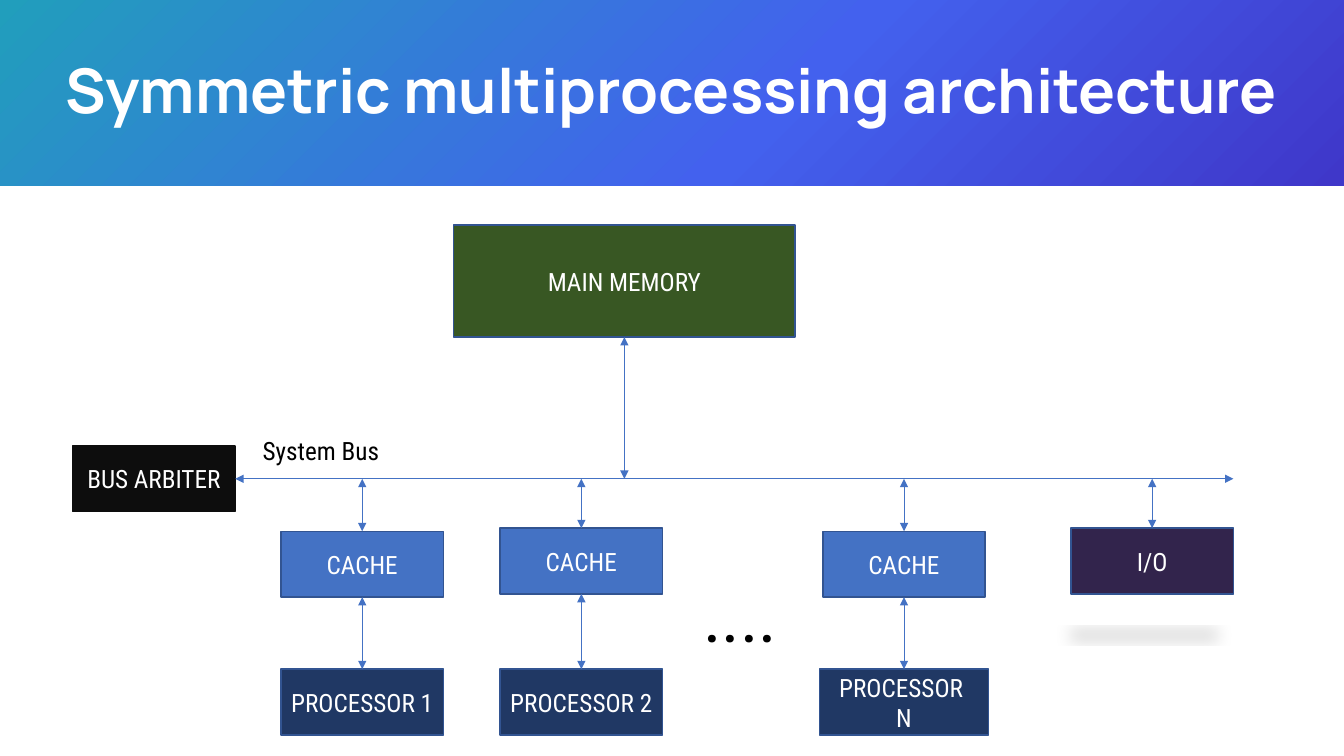
from lxml import etree
from pptx import Presentation
from pptx.dml.color import RGBColor
from pptx.enum.shapes import MSO_CONNECTOR as Connector, MSO_SHAPE as Preset
from pptx.enum.text import MSO_ANCHOR as Anchor, PP_ALIGN as Align
from pptx.oxml import parse_xml
from pptx.oxml.ns import nsdecls, qn
from pptx.util import Pt

WHITE = RGBColor(0xFF, 0xFF, 0xFF)
BLACK = RGBColor(0, 0, 0)
NEAR_BLACK = RGBColor(0x0D, 0x0D, 0x0D)
GREEN = RGBColor(0x38, 0x57, 0x23)
BLUE = RGBColor(0x44, 0x72, 0xC4)
EDGE = RGBColor(0x32, 0x54, 0x91)
NAVY = RGBColor(0x20, 0x38, 0x64)
PURPLE = RGBColor(0x32, 0x24, 0x4C)
BAND_STOPS = [(0, RGBColor(0x21, 0x9E, 0xBC)),
              (0.58, RGBColor(0x43, 0x61, 0xEE)),
              (1, RGBColor(0x3F, 0x37, 0xC9))]
BODY_FONT = "Roboto Condensed"

TITLE = "Symmetric multiprocessing architecture"
# centre, cache top, processor lines, processor width
PROCESSORS = [
    (258.75, 379.5, ["PROCESSOR 1"], 116),
    (415.25, 377.25, ["PROCESSOR 2"], 116),
    (645.75, 379.5, ["PROCESSOR ", "N"], 121),
]
LABELS = [("....", 495.25, 405.5, 81.5, 67.5, 50),
          ("System Bus", 180.5, 307.5, 156, 29, 18)]
SLIDE_WIDTH, SLIDE_HEIGHT, BAND_HEIGHT = 960, 540, 132.5
BOX_WIDTH, BOX_HEIGHT = 116, 47
BUS_Y, BUS_RIGHT = 342, 881
ARBITER_LEFT, MEMORY_CENTRE, IO_CENTRE = 52, 446, 823
MEMORY_TOP, IO_TOP, PROCESSOR_TOP = 160.75, 377.25, 478
TOP, BOTTOM, RIGHT = 0, 2, 3

presentation = Presentation()
presentation.slide_width = Pt(SLIDE_WIDTH)
presentation.slide_height = Pt(SLIDE_HEIGHT)
slide = presentation.slides.add_slide(presentation.slide_layouts[5])
shapes = slide.shapes


def write(shape, *lines, size=18, font=BODY_FONT, color=WHITE, bold=False,
          align=Align.CENTER, anchor=Anchor.MIDDLE, spacing=None):
    frame = shape.text_frame
    frame.word_wrap = True
    frame.vertical_anchor = anchor
    frame.text = "\n".join(lines)
    for paragraph in frame.paragraphs:
        paragraph.alignment = align
        paragraph.line_spacing = spacing
        style = paragraph.runs[0].font
        style.size, style.name, style.bold = Pt(size), font, bold
        style.color.rgb = color


def add_box(*lines, centre, top, fill, width=BOX_WIDTH, height=BOX_HEIGHT, edge=EDGE):
    box = shapes.add_shape(Preset.RECTANGLE, Pt(centre - width / 2), Pt(top),
                           Pt(width), Pt(height))
    box.shadow.inherit = False
    box.fill.solid()
    box.fill.fore_color.rgb = fill
    box.line.color.rgb = edge
    box.line.width = Pt(1)
    write(box, *lines)
    return box


def add_arrow(start, end, begin=None, finish=None):
    """Double-headed arrow; begin and finish are (box, side) joins."""
    arrow = shapes.add_connector(Connector.STRAIGHT, *map(Pt, start + end))
    if begin:
        arrow.begin_connect(*begin)
    if finish:
        arrow.end_connect(*finish)
    arrow.line.color.rgb = BLUE
    arrow.line.width = Pt(0.5)
    line = arrow.line._get_or_add_ln()
    for tag in ("a:headEnd", "a:tailEnd"):
        etree.SubElement(line, qn(tag), type="triangle")
    etree.SubElement(arrow._element.spPr, qn("a:effectLst"))


def add_band():
    band = shapes.add_shape(Preset.RECTANGLE, 0, 0, Pt(SLIDE_WIDTH), Pt(BAND_HEIGHT))
    band.shadow.inherit = False
    band.line.fill.background()
    band.fill.gradient()
    band.fill.gradient_angle = 315
    stop_list = band._element.spPr.find(".//" + qn("a:gsLst"))
    for stop in list(stop_list):
        stop_list.remove(stop)
    for position, color in BAND_STOPS:
        stop = etree.SubElement(stop_list, qn("a:gs"), pos=str(round(position * 100000)))
        etree.SubElement(stop, qn("a:srgbClr"), val=str(color))
    return band


def add_floor_shadow(box):
    """Flattened soft shadow lying below the box."""
    effects = box._element.spPr.find(qn("a:effectLst"))
    effects.append(parse_xml(
        f'<a:outerShdw {nsdecls("a")} blurRad="{Pt(12)}" dist="{Pt(25)}" dir="5400000" '
        'sx="90000" sy="-19000" algn="bl" rotWithShape="0">'
        '<a:srgbClr val="000000"><a:alpha val="15000"/></a:srgbClr></a:outerShdw>'))


title = shapes.title
title.left, title.top = Pt(0), Pt(0.5)
title.width, title.height = Pt(SLIDE_WIDTH), Pt(BAND_HEIGHT)
write(title, TITLE, size=44, font="Manrope", bold=True, spacing=0.9)
title._element.addprevious(add_band()._element)

memory = add_box("MAIN MEMORY", centre=MEMORY_CENTRE, top=MEMORY_TOP, fill=GREEN,
                 width=244, height=80)
arbiter = add_box("BUS ARBITER", centre=ARBITER_LEFT + BOX_WIDTH / 2,
                  top=BUS_Y - BOX_HEIGHT / 2, fill=NEAR_BLACK, edge=NEAR_BLACK)
io_box = add_box("I/O", centre=IO_CENTRE, top=IO_TOP, fill=PURPLE)
add_floor_shadow(io_box)

add_arrow((ARBITER_LEFT + BOX_WIDTH, BUS_Y), (BUS_RIGHT, BUS_Y), begin=(arbiter, RIGHT))
add_arrow((MEMORY_CENTRE, MEMORY_TOP + 80), (MEMORY_CENTRE, BUS_Y), begin=(memory, BOTTOM))
add_arrow((IO_CENTRE, IO_TOP), (IO_CENTRE, BUS_Y), begin=(io_box, TOP))

for centre, cache_top, lines, width in PROCESSORS:
    cache = add_box("CACHE", centre=centre, top=cache_top, fill=BLUE)
    processor = add_box(*lines, centre=centre, top=PROCESSOR_TOP, fill=NAVY, width=width)
    add_arrow((centre, cache_top), (centre, BUS_Y), begin=(cache, TOP))
    add_arrow((centre, PROCESSOR_TOP), (centre, cache_top + BOX_HEIGHT),
              begin=(processor, TOP), finish=(cache, BOTTOM))

for text, left, top, width, height, size in LABELS:
    label = shapes.add_textbox(Pt(left), Pt(top), Pt(width), Pt(height))
    write(label, text, size=size, color=BLACK, align=Align.LEFT, anchor=Anchor.TOP)

presentation.save("out.pptx")
